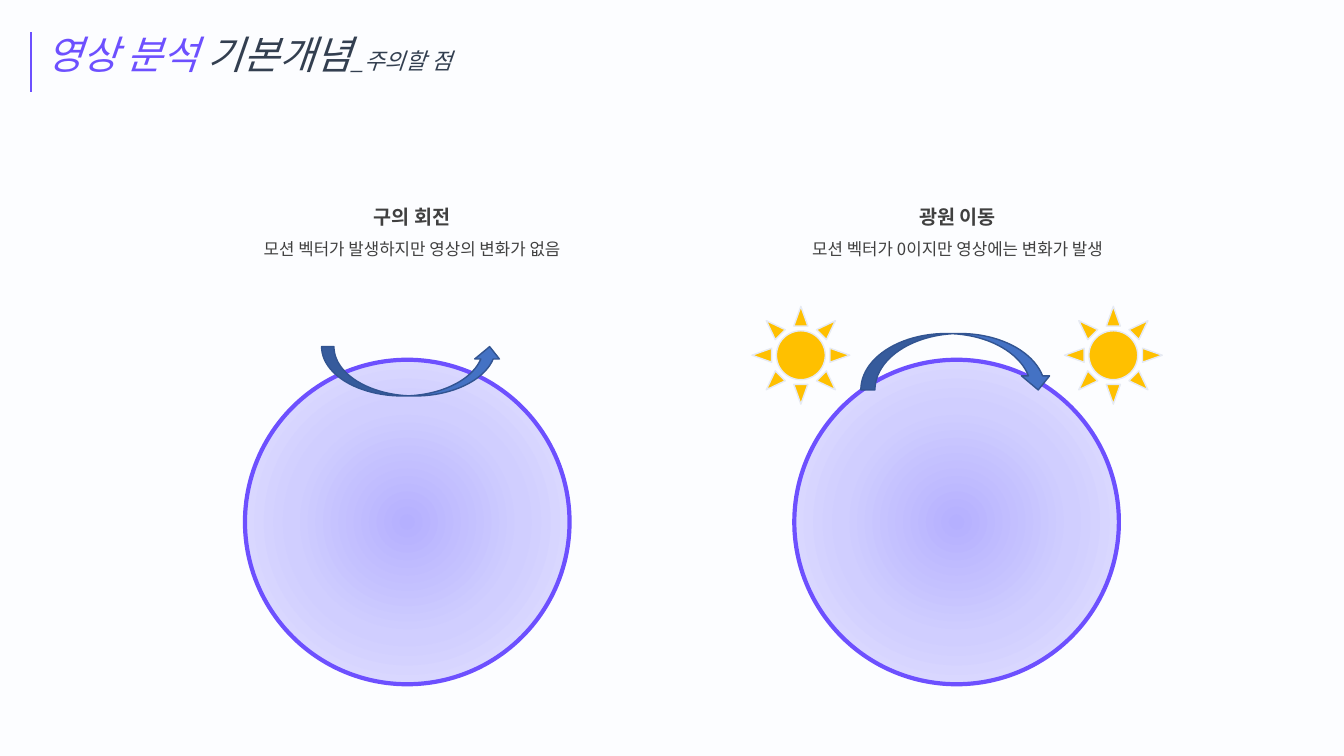
from dataclasses import dataclass

from lxml.etree import SubElement
from pptx import Presentation
from pptx.dml.color import RGBColor
from pptx.enum.shapes import MSO_CONNECTOR, MSO_SHAPE as Preset
from pptx.enum.text import MSO_AUTO_SIZE, PP_ALIGN
from pptx.oxml import parse_xml
from pptx.oxml.ns import nsdecls, qn
from pptx.util import Emu, Inches, Pt

FONT = "Noto Sans CJK KR"
PURPLE, SLATE, GRAY = "6D50FF", "333F50", "404040"
GRADIENT = {0: "B5B0FF", 50: "D0CEFF", 100: "E8E6FF"}
COLUMNS = 80  # square cells: 80 columns by 45 rows
BALL_SIZE, SUN_SIZE = 19.32, 5.82


@dataclass(frozen=True)
class Box:
    """Left, top, width and height in grid cells."""
    left: float
    top: float
    width: float
    height: float


@dataclass(frozen=True)
class Scene:
    heading: str
    detail: str
    caption: Box
    ball_left: float
    arrow_preset: Preset
    arrow: Box
    sun_lefts: tuple[float, ...] = ()


SCENES = (
    Scene("구의 회전", "모션 벡터가 발생하지만 영상의 변화가 없음",
          Box(13.8, 11.22, 21.48, 4.32), 14.58,
          Preset.CURVED_UP_ARROW, Box(19.14, 20.64, 10.74, 2.94)),
    Scene("광원 이동", "모션 벡터가 0이지만 영상에는 변화가 발생",
          Box(46.26, 11.22, 21.48, 4.32), 47.28,
          Preset.CURVED_DOWN_ARROW, Box(51.24, 19.86, 11.4, 3.36),
          (44.76, 63.36)),
)

presentation = Presentation()
presentation.slide_width = Inches(13.33)
presentation.slide_height = Inches(7.5)
slide = presentation.slides.add_slide(presentation.slide_layouts[6])


def color(value: str) -> RGBColor:
    return RGBColor.from_string(value)


def cells(count: float) -> Emu:
    return Emu(round(presentation.slide_width * count / COLUMNS))


def place(box: Box) -> tuple[Emu, ...]:
    return tuple(map(cells, (box.left, box.top, box.width, box.height)))


def add_preset(preset: Preset, box: Box, fill: str, line: str, line_width: float = 1):
    shape = slide.shapes.add_shape(preset, *place(box))
    shape.shadow.inherit = False
    shape.fill.solid()
    shape.fill.fore_color.rgb = color(fill)
    shape.line.color.rgb = color(line)
    shape.line.width = Pt(line_width)
    return shape


def add_ball(left: float) -> None:
    """Draw a ball whose fill brightens from its centre outwards."""
    ball = add_preset(Preset.OVAL, Box(left, 21.42, BALL_SIZE, BALL_SIZE),
                      GRADIENT[50], PURPLE, 3)
    stops = "".join(f'<a:gs pos="{position * 1000}"><a:srgbClr val="{value}"/></a:gs>'
                    for position, value in GRADIENT.items())
    gradient = parse_xml(
        f'<a:gradFill {nsdecls("a")} rotWithShape="1"><a:gsLst>{stops}</a:gsLst>'
        '<a:path path="circle"><a:fillToRect l="50000" t="50000" r="50000" b="50000"/>'
        '</a:path></a:gradFill>')
    properties = ball.element.spPr
    properties.replace(properties.find(qn("a:solidFill")), gradient)


def add_text_frame(box: Box):
    text_frame = slide.shapes.add_textbox(*place(box)).text_frame
    text_frame.word_wrap = True
    text_frame.auto_size = MSO_AUTO_SIZE.SHAPE_TO_FIT_TEXT
    return text_frame


def format_run(run, size: float, value: str, bold: bool = False, italic: bool = False) -> None:
    font = run.font
    font.size, font.bold, font.italic = Pt(size), bold, italic
    font.color.rgb = color(value)
    font.name = FONT
    SubElement(run._r.get_or_add_rPr(), qn("a:ea")).set("typeface", FONT)


def add_title() -> None:
    paragraph = add_text_frame(Box(2.16, 1.5, 30.06, 3.42)).paragraphs[0]
    for text, size, value in (("영상 분석 ", 28, PURPLE), ("기본개념", 28, SLATE),
                              ("_주의할 점", 16, SLATE)):
        run = paragraph.add_run()
        run.text = text
        format_run(run, size, value, italic=True)
    bar = slide.shapes.add_connector(MSO_CONNECTOR.STRAIGHT, cells(1.86), cells(1.92),
                                     cells(1.86), cells(5.46))
    bar.line.color.rgb = color(PURPLE)
    bar.line.width = Pt(1.5)
    SubElement(bar.element.spPr, qn("a:effectLst"))


def add_scene(scene: Scene) -> None:
    text_frame = add_text_frame(scene.caption)
    text_frame.text = f"{scene.heading}\n{scene.detail}"
    for paragraph, size, bold in zip(text_frame.paragraphs, (14, 12), (True, False)):
        paragraph.alignment = PP_ALIGN.CENTER
        paragraph.line_spacing = 1.5
        format_run(paragraph.runs[0], size, GRAY, bold=bold)
    add_ball(scene.ball_left)
    add_preset(scene.arrow_preset, scene.arrow, "4472C4", "325491")
    for left in scene.sun_lefts:
        add_preset(Preset.SUN, Box(left, 18.24, SUN_SIZE, SUN_SIZE), "FFC000", "E6EAF3")


def main() -> None:
    slide.background.fill.solid()
    slide.background.fill.fore_color.rgb = color("FCFDFF")
    add_title()
    for scene in SCENES:
        add_scene(scene)
    presentation.save("out.pptx")


if __name__ == "__main__":
    main()
